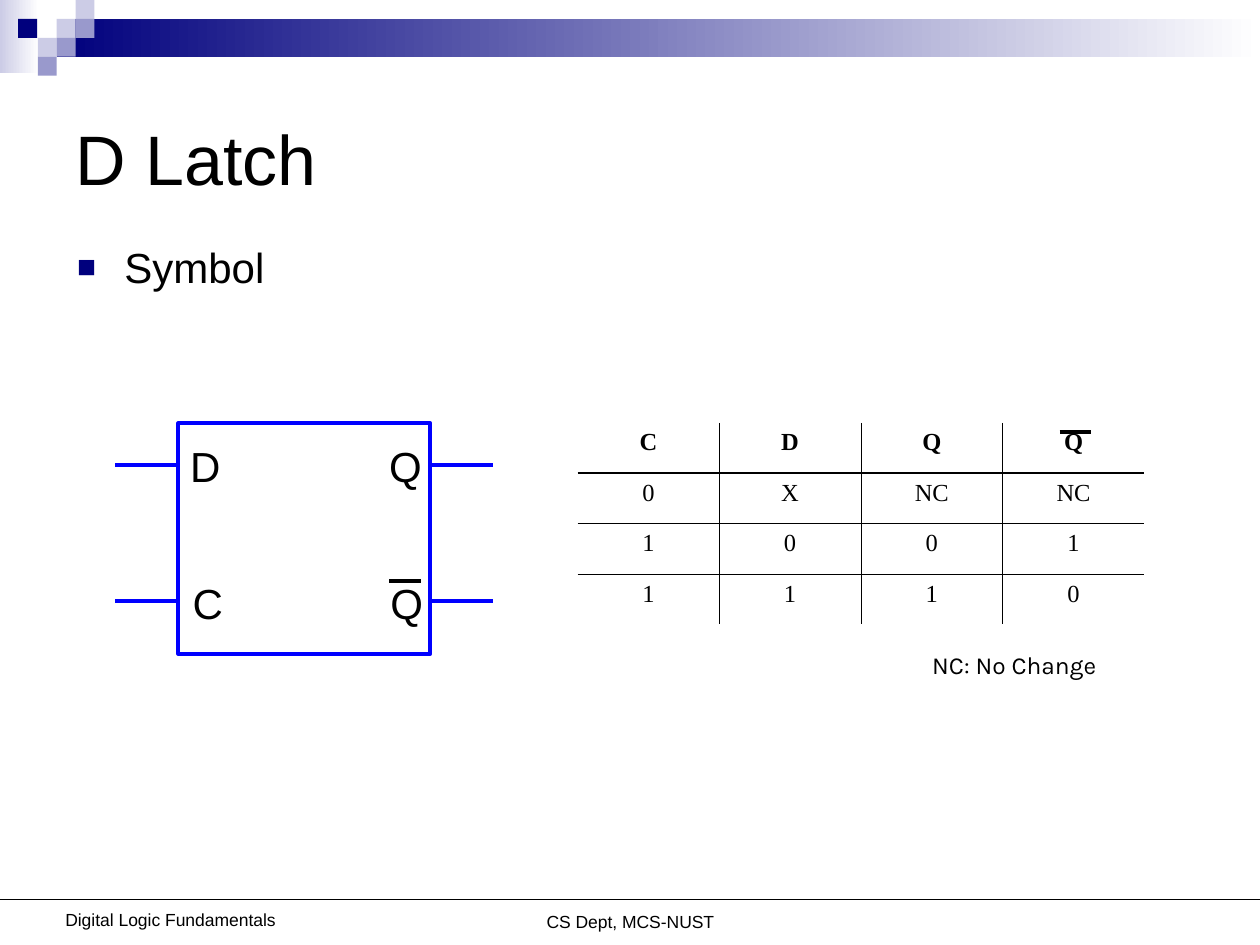
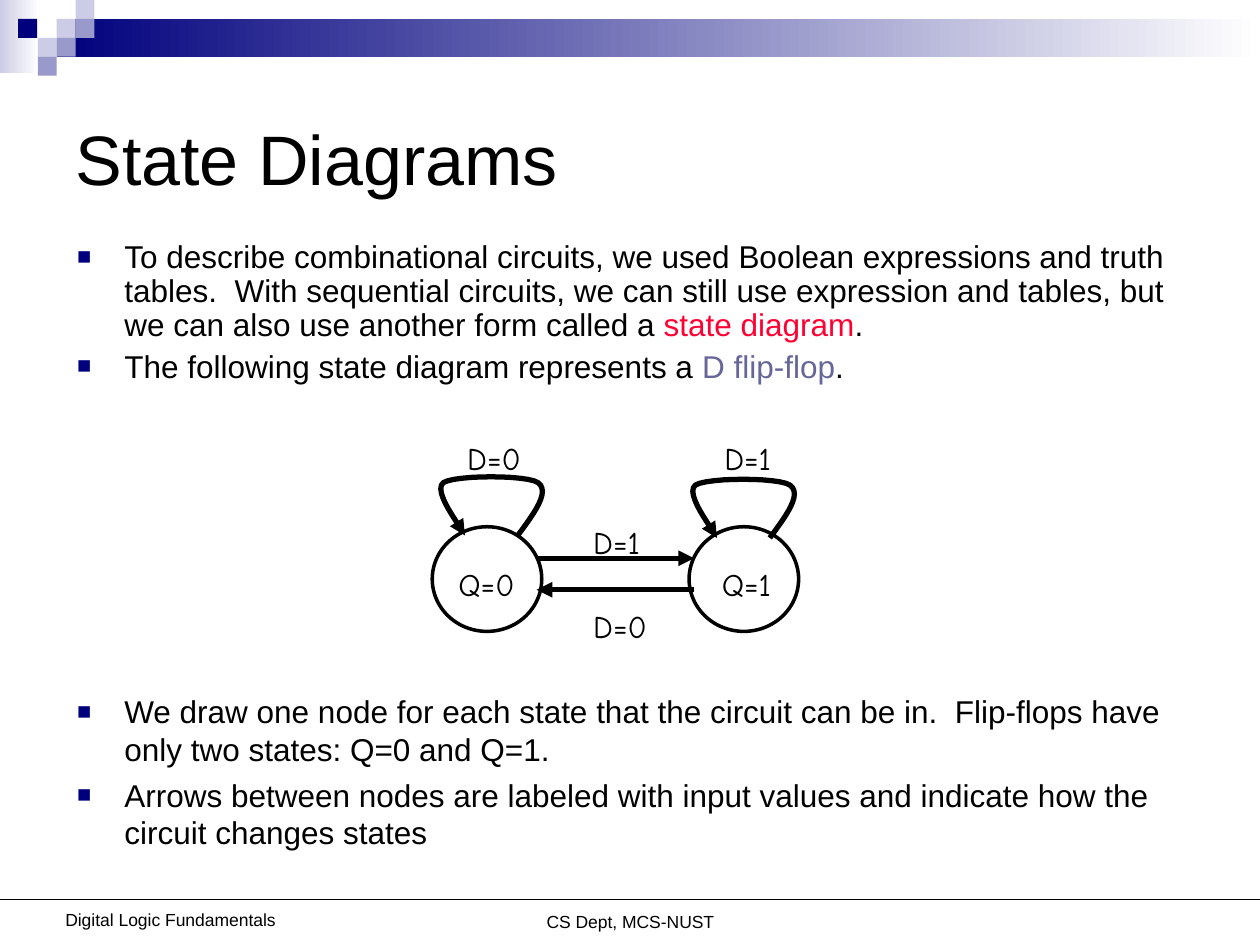
from dataclasses import dataclass
from itertools import product

from lxml.etree import SubElement
from pptx import Presentation
from pptx.dml.color import RGBColor as RGB
from pptx.enum.shapes import MSO_CONNECTOR as CONNECTOR, MSO_SHAPE as SHAPE
from pptx.enum.text import MSO_ANCHOR as ANCHOR, MSO_AUTO_SIZE as FIT, PP_ALIGN as ALIGN
from pptx.oxml import parse_xml
from pptx.oxml.ns import nsdecls, qn
from pptx.util import Pt


@dataclass(frozen=True)
class Theme:
    ink: str = "000000"
    navy: str = "00007D"
    lilac: str = "9999CC"
    pale: str = "CCCCE6"
    white: str = "FFFFFF"
    wire: str = "0000FF"
    key: str = "FF0033"
    term: str = "666699"
    font: str = "Arial"
    table_font: str = "Times New Roman"
    note_font: str = "Karla"
    state_font: str = "Comic Neue"
    title: int = 40
    large: int = 24
    body: int = 18
    small: int = 14
    footer: int = 10


THEME = Theme()

# Shared content: gradient bands, mosaic squares, footers (left, top, ...)
BANDS = [((0, 0, 22.3, 41.8), THEME.pale), ((32.4, 10.8, 687.6, 21.6), THEME.navy)]
TILE = 10.8
TILES = [(32.4, 10.8, THEME.pale), (43.2, 0, THEME.pale), (43.2, 10.8, THEME.lilac),
         (21.6, 21.6, THEME.pale), (10.4, 10.8, THEME.navy), (32.4, 21.6, THEME.lilac),
         (21.6, 32.4, THEME.lilac)]
FOOTERS = [("CS Dept, MCS-NUST", (210.2, 517, 300, 20)),
           ("Digital Logic Fundamentals", (25.4, 516, 144, 20))]
FOOTER_RULE = 514

# Slide 1 content
LATCH = {
    "title": "D Latch",
    "bullets": [[("Symbol", THEME.ink)]],
    "body": (102, 241.9, 144, 131.8),
    "pins": [("D", 101.5, 248.4), ("C", 103, 326.2), ("Q", 215.3, 248.4), ("Q", 216, 326.2)],
    "wire_rows": (265.7, 343.4),
    "wire_starts": (66, 246),
    "wire_length": 36,
    "overbars": [(222.5, 331.9), (605.5, 247)],
    "overbar_length": 18,
    "table": [["C", "D", "Q", "Q"], ["0", "X", "NC", "NC"],
              ["1", "0", "0", "1"], ["1", "1", "1", "0"]],
    "note": "NC: No Change",
}

# Slide 2 content
STATES = {
    "title": "State Diagrams",
    "intro": [
        [("To describe combinational circuits, we used Boolean expressions and truth tables.  "
          "With sequential circuits, we can still use expression and tables, but we can also "
          "use another form called a ", THEME.ink), ("state diagram", THEME.key),
         (".", THEME.ink)],
        [("The following state diagram represents a ", THEME.ink),
         ("D flip-flop", THEME.term), (".", THEME.ink)],
    ],
    "rules": [
        [("We draw one node for each state that the circuit can be in.  Flip-flops have only "
          "two states: Q=0 and Q=1.", THEME.ink)],
        [("Arrows between nodes are labeled with input values and indicate how the circuit "
          "changes states", THEME.ink)],
    ],
    "nodes": [(247, 301, 62.6, 59.8), (393.8, 301, 62.6, 59.8)],
    "loop_starts": [(295.9, 306), (439.9, 307.4)],
    "arrows": [(306.7, 319, 396.7, 319), (396.7, 337, 306.7, 337)],
    "labels": [("D=0", 259.9, 247.4), ("D=1", 406.8, 247.4), ("D=1", 331.9, 295.2),
               ("D=0", 331.9, 343.4), ("Q=0", 254.9, 319.4), ("Q=1", 405.4, 319.4)],
}
LABEL_SIZE = (60, 28.8)
# Bezier pieces of a self-loop, relative to where it leaves its node
LOOP = [((0, 0), (9.4, -12.6), (18.7, -25.2), (11.5, -30.2)),
        ((11.5, -30.2), (5, -34.6), (-35.3, -34.6), (-42.5, -30.2)),
        ((-42.5, -30.2), (-49, -25.2), (-32.4, -5), (-30.2, 0))]
LOOP_STEPS = 12


def points(box):
    return [Pt(length) for length in box]


def style(run, size, color=THEME.ink, font=THEME.font, bold=False):
    run.font.size, run.font.name, run.font.bold = Pt(size), font, bold
    run.font.color.rgb = RGB.from_string(color)


def add_box(slide, box, kind=SHAPE.RECTANGLE, fill=None, line=None, width=1):
    shape = slide.shapes.add_shape(kind, *points(box))
    shape.shadow.inherit = False
    if fill:
        shape.fill.solid()
        shape.fill.fore_color.rgb = RGB.from_string(fill)
    else:
        shape.fill.background()
    if line:
        shape.line.color.rgb = RGB.from_string(line)
        shape.line.width = Pt(width)
    else:
        shape.line.fill.background()
    return shape


def add_arrowhead(shape):
    SubElement(shape.line._get_or_add_ln(), qn("a:tailEnd"), type="triangle")


def add_line(slide, ends, color=THEME.ink, width=2.25, arrow=False):
    line = slide.shapes.add_connector(CONNECTOR.STRAIGHT, *points(ends))
    line.line.color.rgb = RGB.from_string(color)
    line.line.width = Pt(width)
    if arrow:
        add_arrowhead(line)
    SubElement(line._element.spPr, qn("a:effectLst"))


def add_text(slide, text, box, size, font=THEME.font, align=ALIGN.LEFT, wrap=False):
    frame = slide.shapes.add_textbox(*points(box)).text_frame
    frame.word_wrap = wrap
    frame.auto_size = FIT.NONE if wrap else FIT.SHAPE_TO_FIT_TEXT
    frame.text = text
    frame.paragraphs[0].alignment = align
    style(frame.paragraphs[0].runs[0], size, font=font)


def add_bullets(slide, bullets, box, size, pitch=None):
    frame = slide.shapes.add_textbox(*points(box)).text_frame
    frame.word_wrap = True
    for index, pieces in enumerate(bullets):
        paragraph = frame.add_paragraph() if index else frame.paragraphs[0]
        props = paragraph._p.get_or_add_pPr()
        props.set("marL", str(Pt(27)))
        props.set("indent", str(-Pt(27)))
        color = SubElement(props, qn("a:buClr"))
        SubElement(color, qn("a:srgbClr"), val=THEME.navy)
        SubElement(props, qn("a:buSzPct"), val="75000")
        SubElement(props, qn("a:buFont"), typeface=THEME.font)
        SubElement(props, qn("a:buChar"), char="■")
        if pitch:
            paragraph.line_spacing = Pt(pitch)
        if index:
            paragraph.space_before = Pt(4.5)
        for text, ink in pieces:
            run = paragraph.add_run()
            run.text = text
            style(run, size, ink)


def add_slide(deck, title):
    slide = deck.slides.add_slide(deck.slide_layouts[5])
    # Top bands and mosaic
    for box, start in BANDS:
        band = add_box(slide, box)
        band.fill.gradient()
        band.fill.gradient_angle = 0
        for stop, color in zip(band.fill.gradient_stops, (start, THEME.white)):
            stop.color.rgb = RGB.from_string(color)
    for left, top, color in TILES:
        add_box(slide, (left, top, TILE, TILE), fill=color)
    # Footers
    for text, box in FOOTERS:
        add_text(slide, text, box, THEME.footer, align=ALIGN.CENTER, wrap=True)
    add_line(slide, (0, FOOTER_RULE, 720, FOOTER_RULE), width=0.75)
    # Title
    heading = slide.shapes.title
    heading.left, heading.top, heading.width, heading.height = points((36, 36, 648, 108))
    frame = heading.text_frame
    frame.text = title
    frame.auto_size, frame.vertical_anchor = FIT.NONE, ANCHOR.MIDDLE
    frame.paragraphs[0].alignment = ALIGN.LEFT
    style(frame.paragraphs[0].runs[0], THEME.title)
    return slide


def set_borders(cell, widths):
    """Widths run left, right, top, bottom; 0 means no line."""
    props = cell._tc.get_or_add_tcPr()
    for index, (side, width) in enumerate(zip("LRTB", widths)):
        paint = f'<a:solidFill><a:srgbClr val="{THEME.ink}"/></a:solidFill>'
        props.insert(index, parse_xml(
            f'<a:ln{side} {nsdecls("a")} w="{Pt(width)}">'
            f'{paint if width else "<a:noFill/>"}</a:ln{side}>'))


def add_truth_table(slide, rows, box):
    count, span = len(rows), len(rows[0])
    table = slide.shapes.add_table(count, span, *points(box)).table
    table.first_row = table.horz_banding = False
    # Rule above each row, then below the last; same for columns
    across = [0, 1.08] + [0.45] * (count - 2) + [0]
    down = [0] + [0.45] * (span - 1) + [0]
    for row, col in product(range(count), range(span)):
        cell = table.cell(row, col)
        cell.fill.background()
        set_borders(cell, (down[col], down[col + 1], across[row], across[row + 1]))
        cell.text_frame.text = rows[row][col]
        paragraph = cell.text_frame.paragraphs[0]
        paragraph.alignment = ALIGN.CENTER
        style(paragraph.runs[0], THEME.small, font=THEME.table_font, bold=row == 0)


def build_latch(deck):
    slide = add_slide(deck, LATCH["title"])
    add_bullets(slide, LATCH["bullets"], (37, 134.2, 648, 39.6), THEME.large)
    # Latch symbol
    add_box(slide, LATCH["body"], line=THEME.wire, width=2.25)
    for name, left, top in LATCH["pins"]:
        add_text(slide, name, (left, top, 32, 36), THEME.large)
    for left, y in product(LATCH["wire_starts"], LATCH["wire_rows"]):
        add_line(slide, (left, y, left + LATCH["wire_length"], y), THEME.wire)
    # Truth table
    add_truth_table(slide, LATCH["table"], (330, 241.6, 324, 115.2))
    add_text(slide, LATCH["note"], (525.6, 367.9, 114.5, 24.5), THEME.small, THEME.note_font)
    for left, y in LATCH["overbars"]:
        add_line(slide, (left, y, left + LATCH["overbar_length"], y))


def bezier(piece, t):
    weights = ((1 - t) ** 3, 3 * t * (1 - t) ** 2, 3 * t ** 2 * (1 - t), t ** 3)
    return [sum(w * p[axis] for w, p in zip(weights, piece)) for axis in (0, 1)]


def add_loop(slide, left, top):
    curve = [bezier(piece, step / LOOP_STEPS)
             for piece in LOOP for step in range(1, LOOP_STEPS + 1)]
    outline = slide.shapes.build_freeform(Pt(left), Pt(top))
    outline.add_line_segments([(Pt(left + x), Pt(top + y)) for x, y in curve], close=False)
    loop = outline.convert_to_shape()
    loop.shadow.inherit = False
    loop.fill.background()
    loop.line.color.rgb = RGB.from_string(THEME.ink)
    loop.line.width = Pt(3)
    add_arrowhead(loop)


def build_states(deck):
    slide = add_slide(deck, STATES["title"])
    add_bullets(slide, STATES["intro"], (37, 134.2, 648, 92), THEME.body, pitch=19.4)
    add_bullets(slide, STATES["rules"], (37, 392, 648, 100), THEME.body, pitch=21.6)
    # State diagram
    for start in STATES["loop_starts"]:
        add_loop(slide, *start)
    for node in STATES["nodes"]:
        add_box(slide, node, SHAPE.OVAL, line=THEME.ink, width=2)
    for ends in STATES["arrows"]:
        add_line(slide, ends, width=3, arrow=True)
    for text, left, top in STATES["labels"]:
        add_text(slide, text, (left, top, *LABEL_SIZE), THEME.body, THEME.state_font, wrap=True)


def main():
    deck = Presentation()
    deck.slide_width, deck.slide_height = Pt(720), Pt(540)
    build_latch(deck)
    build_states(deck)
    deck.save("out.pptx")


if __name__ == "__main__":
    main()
